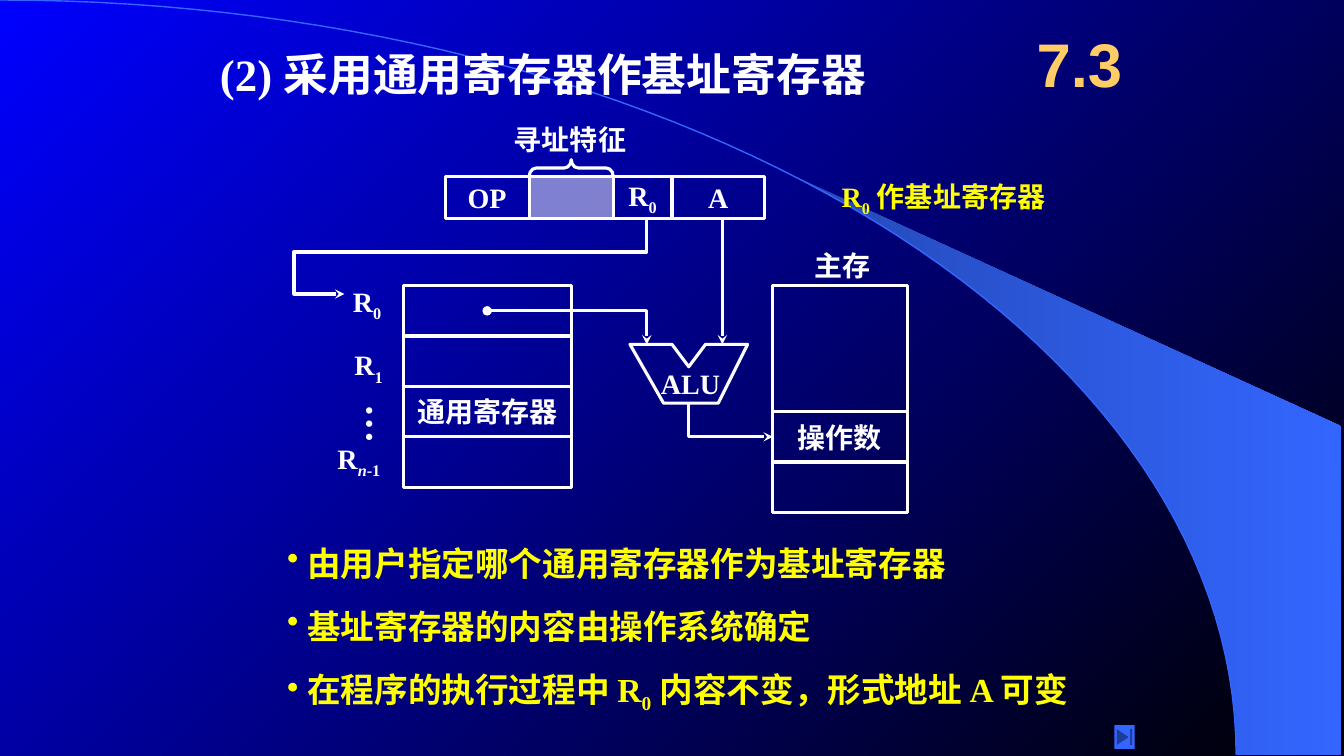
"""Build the slide on using a general register as the base register."""
from dataclasses import dataclass
from math import asin, cos, pi, sin

from lxml.etree import SubElement
from pptx import Presentation
from pptx.dml.color import RGBColor as Rgb
from pptx.enum.shapes import MSO_CONNECTOR as Connector, MSO_SHAPE as Shape
from pptx.enum.text import MSO_ANCHOR as Anchor, MSO_AUTO_SIZE as AutoSize, PP_ALIGN as Align
from pptx.oxml.ns import qn
from pptx.util import Pt


@dataclass(frozen=True)
class Theme:
    white: Rgb = Rgb(0xFF, 0xFF, 0xFF)
    yellow: Rgb = Rgb(0xFF, 0xFF, 0x00)
    gold: Rgb = Rgb(0xFF, 0xCC, 0x66)
    blue: Rgb = Rgb(0x00, 0x00, 0xFF)
    black: Rgb = Rgb(0x00, 0x00, 0x00)
    deep: Rgb = Rgb(0x24, 0x49, 0xB6)
    bright: Rgb = Rgb(0x33, 0x66, 0xFF)
    serif: str = "Times New Roman"
    sans: str = "Arial"
    label: int = 20
    bullet: int = 24
    dots: int = 28
    title: int = 32
    section: int = 44
    stroke: float = 2.25


THEME = Theme()
SUB, SUB_ITALIC = "sub", "sub italic"
ARC_WIDTH, ARC_HEIGHT = 883, 539


def write(para, spans, size=THEME.label, colour=THEME.white, font=THEME.serif):
    for text, style in spans:
        span = para.add_run()
        span.text = text
        span.font.size = Pt(size)
        span.font.bold = True
        span.font.name = font
        span.font.color.rgb = colour
        if style:
            span.font.italic = style == SUB_ITALIC
            span._r.get_or_add_rPr().set("baseline", "-25000")


def text_box(page, area, spans, wrap=False, **look):
    box = page.shapes.add_textbox(*map(Pt, area))
    frame = box.text_frame
    frame.word_wrap = wrap
    frame.auto_size = AutoSize.SHAPE_TO_FIT_TEXT
    write(frame.paragraphs[0], spans, **look)
    return box


def bullet(page, area, spans):
    box = text_box(page, area, spans, wrap=True, size=THEME.bullet, colour=THEME.yellow)
    props = box.text_frame.paragraphs[0]._p.get_or_add_pPr()
    props.set("marL", str(Pt(14.4)))
    props.set("indent", str(-Pt(14.4)))
    SubElement(props, qn("a:buChar")).set("char", "•")


def outline(shape, colour=THEME.white, width=THEME.stroke):
    shape.line.color.rgb = colour
    shape.line.width = Pt(width)


def preset(page, kind, area):
    shape = page.shapes.add_shape(kind, *map(Pt, area))
    shape.shadow.inherit = False
    shape.fill.background()
    outline(shape)
    return shape


def cell(page, area, spans=()):
    shape = preset(page, Shape.RECTANGLE, area)
    frame = shape.text_frame
    frame.word_wrap = False
    frame.vertical_anchor = Anchor.MIDDLE
    frame.paragraphs[0].alignment = Align.CENTER
    write(frame.paragraphs[0], spans)
    return shape


def freeform(page, points, close=False):
    (left, top), *rest = [(Pt(x), Pt(y)) for x, y in points]
    builder = page.shapes.build_freeform(left, top)
    builder.add_line_segments(rest, close=close)
    shape = builder.convert_to_shape()
    shape.shadow.inherit = False
    shape.fill.background()
    outline(shape)
    return shape


def line_ends(shape, tail, head=None):
    line = shape.line._get_or_add_ln()
    for tag, kind in (("a:headEnd", head), ("a:tailEnd", tail)):
        if kind:
            SubElement(line, qn(tag)).set("type", kind)


def straight(page, start, end):
    line = page.shapes.add_connector(Connector.STRAIGHT, *map(Pt, start + end))
    outline(line)
    SubElement(line._element.spPr, qn("a:effectLst"))
    return line


def gradient(fill, colours, angle):
    fill.gradient()
    fill.gradient_angle = angle
    for stop, colour in zip(fill.gradient_stops, colours):
        stop.color.rgb = colour


def arc_points(first_x, steps=60):
    start = asin(first_x / ARC_WIDTH)
    angles = [start + (pi / 2 - start) * step / steps for step in range(steps + 1)]
    return [(ARC_WIDTH * sin(a), ARC_HEIGHT * (1 - cos(a))) for a in angles]


def backdrop(page):
    gradient(page.background.fill, (THEME.blue, THEME.black), 315)
    wedge = freeform(page, arc_points(566) + [(958, 539), (958, 304.5)], close=True)
    gradient(wedge.fill, (THEME.deep, THEME.bright), 0)
    wedge.line.fill.background()
    outline(freeform(page, arc_points(0)), THEME.bright, 1)


def instruction(page):
    text_box(page, (360, 84, 95, 31), [("寻址特征", None)])
    brace = preset(page, Shape.LEFT_BRACE, (402, 90, 12, 60))
    brace.rotation = 90
    brace.adjustments[0] = 0.417
    fields = ((60, [("OP", None)]), (60, []),
              (42, [("R", None), ("0", SUB)]), (66, [("A", None)]))
    left = 318
    for width, spans in fields:
        field = cell(page, (left, 126, width, 30), spans)
        if not spans:
            field.fill.solid()
            field.fill.fore_color.rgb = THEME.white
            colour = field._element.spPr.find(".//" + qn("a:srgbClr"))
            SubElement(colour, qn("a:alpha")).set("val", "50000")
        left += width


def registers(page):
    first_pair = cell(page, (288, 204, 120, 72))
    cell(page, (288, 276, 120, 36), [("通用寄存器", None)])
    cell(page, (288, 312, 120, 36))
    divider = straight(page, (288, 240), (408, 240))
    divider.begin_connect(first_pair, 1)
    divider.end_connect(first_pair, 3)
    text_box(page, (245, 199.5, 36, 32), [("R", None), ("0", SUB)])
    text_box(page, (246, 245, 36, 32), [("R", None), ("1", SUB)])
    text_box(page, (234, 312, 47.5, 32), [("R", None), ("n", SUB_ITALIC), ("-1", SUB)])
    dots = text_box(page, (245.5, 282, 48, 42), [("…", None)], wrap=True, size=THEME.dots)
    dots.text_frame._txBody.bodyPr.set("vert", "eaVert")


def memory(page):
    text_box(page, (575, 174, 55, 31), [("主存", None)])
    cell(page, (552, 204, 96, 90))
    cell(page, (552, 294, 96, 36), [("操作数", None)])
    cell(page, (552, 330, 96, 36))


def data_flow(page):
    freeform(page, [(450, 246), (480, 246), (492, 262), (504, 246),
                    (534, 246), (513, 288), (474, 288)], close=True)
    text_box(page, (465, 258, 57, 31), [("ALU", None)])
    line_ends(straight(page, (516, 156), (516, 246)), "stealth")
    routes = (([(462, 156), (462, 180), (210, 180), (210, 210), (246, 210)], None),
              ([(348, 222), (462, 222), (462, 246)], "oval"),
              ([(492, 288), (492, 312), (552, 312)], None))
    for points, head in routes:
        line_ends(freeform(page, points), "stealth", head)


def main():
    deck = Presentation()
    deck.slide_width, deck.slide_height = Pt(960), Pt(540)
    page = deck.slides.add_slide(deck.slide_layouts[6])
    backdrop(page)
    text_box(page, (150, 30, 478, 50), [("(2) 采用通用寄存器作基址寄存器", None)],
             wrap=True, size=THEME.title)
    memory(page)
    instruction(page)
    registers(page)
    data_flow(page)
    text_box(page, (594, 124.5, 162.5, 32),
             [("R", None), ("0", SUB), (" 作基址寄存器", None)], wrap=True, colour=THEME.yellow)
    notes = ([("由用户指定哪个通用寄存器作为基址寄存器", None)],
             [("基址寄存器的内容由操作系统确定", None)],
             [("在程序的执行过程中 R", None), ("0", SUB), (" 内容不变，形式地址 A 可变", None)])
    for row, spans in enumerate(notes):
        bullet(page, (198, 384 + 45 * row, 600, 36), spans)
    section = text_box(page, (726, 12, 90, 66), [("7.3", None)], wrap=True,
                       size=THEME.section, colour=THEME.gold, font=THEME.sans)
    section.text_frame.auto_size = AutoSize.NONE
    section.text_frame.vertical_anchor = Anchor.MIDDLE
    section.text_frame.paragraphs[0].alignment = Align.CENTER
    button = preset(page, Shape.ACTION_BUTTON_END, (796, 518, 14.5, 17))
    button.fill.solid()
    button.fill.fore_color.rgb = THEME.bright
    button.line.fill.background()
    deck.save("out.pptx")


if __name__ == "__main__":
    main()
